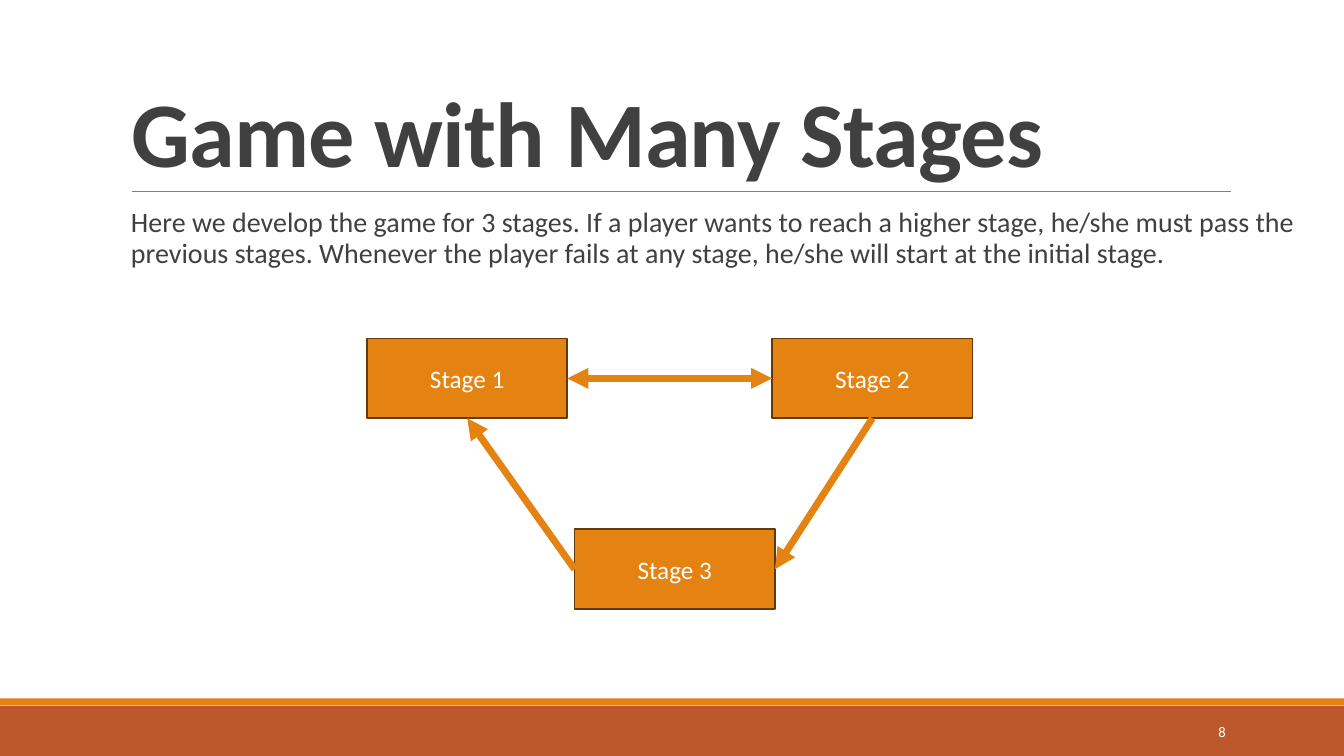
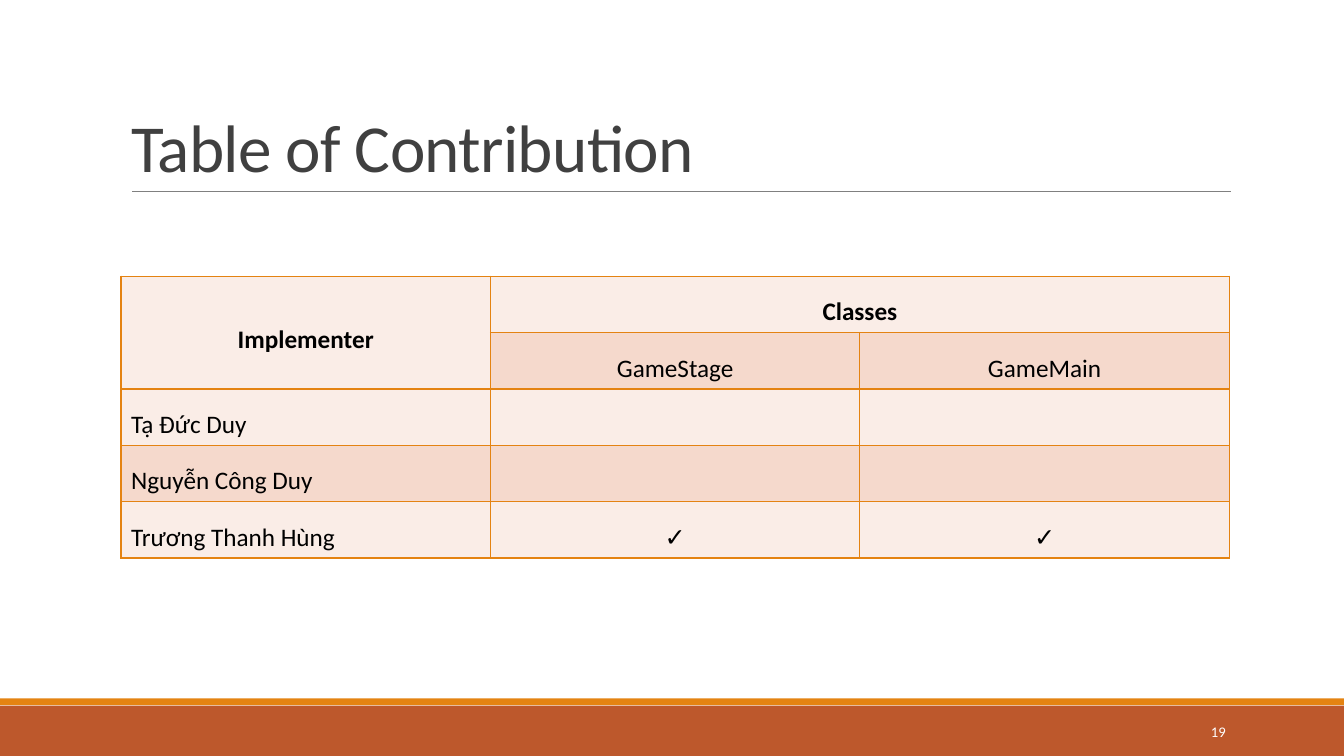
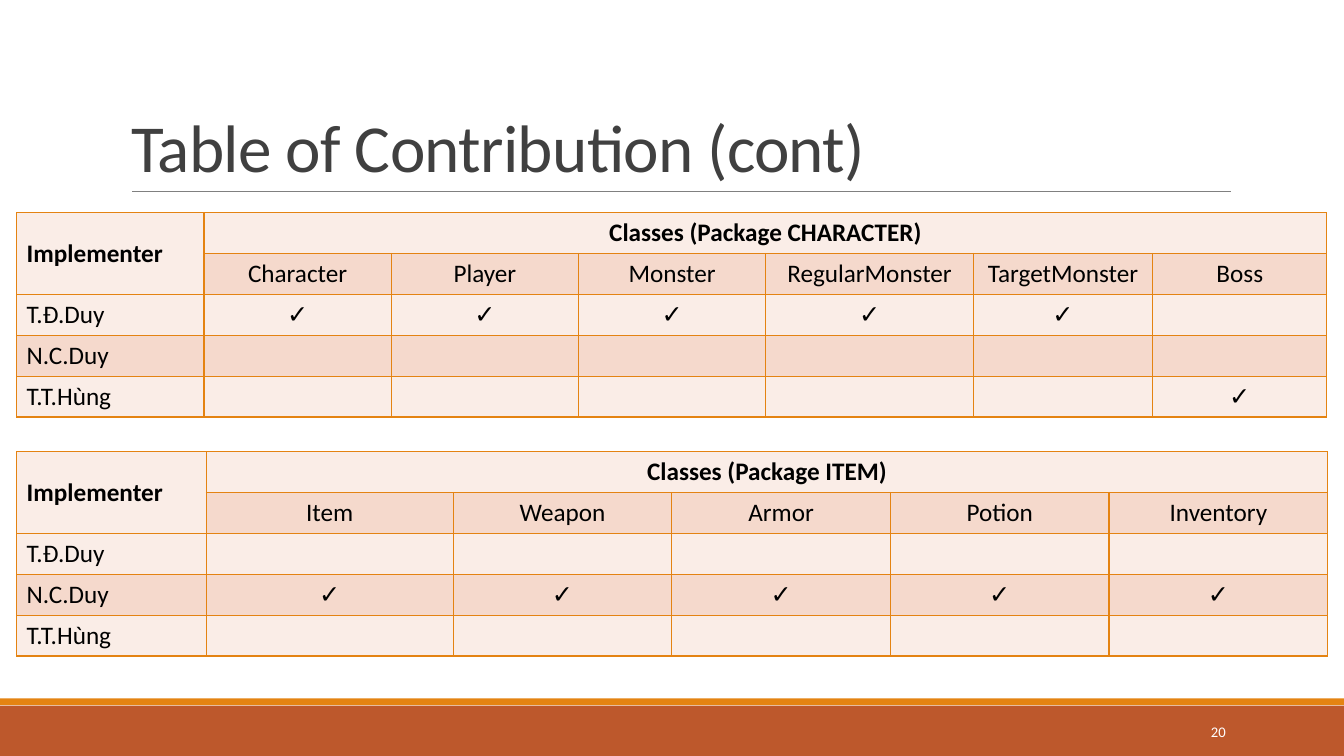
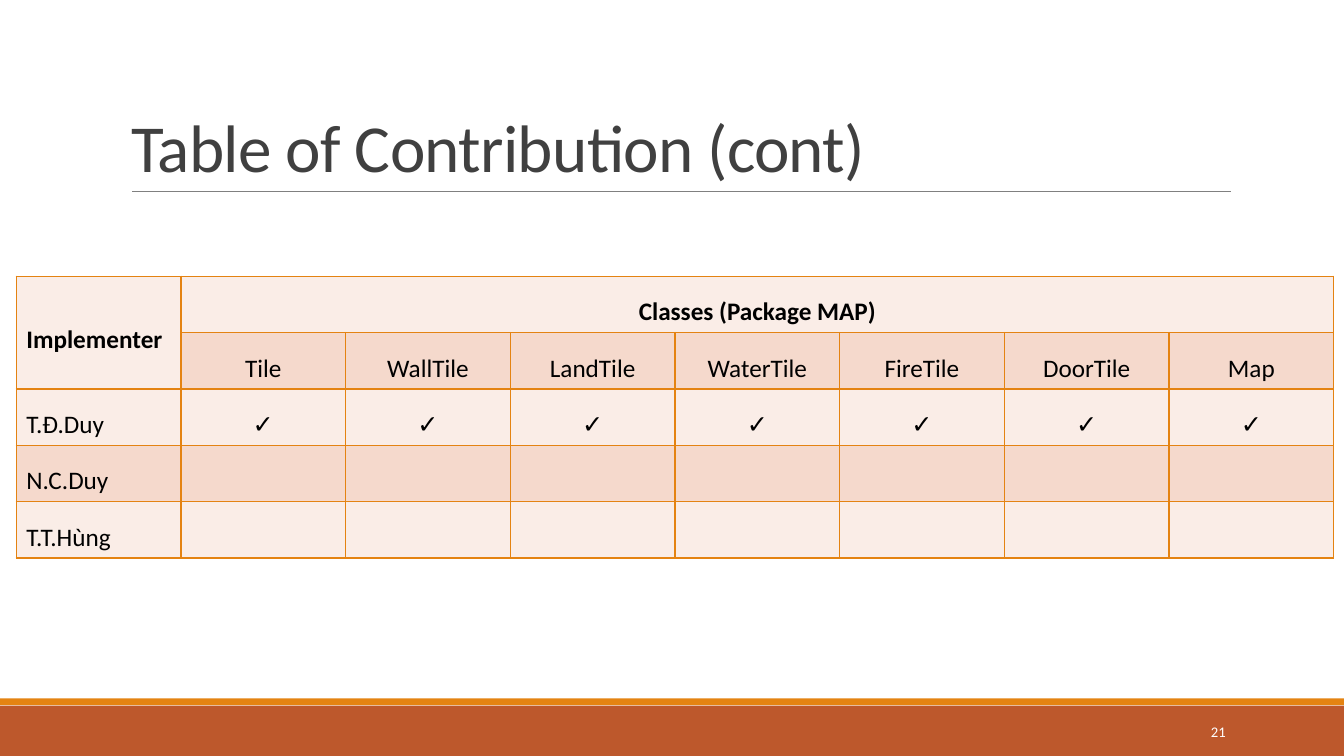
import dataclasses

import lxml.etree
import pptx
import pptx.dml.color
import pptx.enum.shapes
import pptx.enum.text
import pptx.oxml.ns
import pptx.util

Cm = pptx.util.Cm
Pt = pptx.util.Pt
qn = pptx.oxml.ns.qn
RGB = pptx.dml.color.RGBColor.from_string
ALIGN = pptx.enum.text.PP_ALIGN
ANCHOR = pptx.enum.text.MSO_ANCHOR
RECTANGLE = pptx.enum.shapes.MSO_SHAPE.RECTANGLE
STRAIGHT = pptx.enum.shapes.MSO_CONNECTOR.STRAIGHT


@dataclasses.dataclass(frozen=True)
class Theme:
    font: str = "Calibri"
    orange: str = "E48312"
    rust: str = "BD582C"
    box_border: str = "643908"
    rule: str = "808080"
    text: str = "404040"
    white: str = "FFFFFF"
    black: str = "000000"
    row_fills: tuple = ("FAEDE7", "F5D9CC")
    big_title_size: float = 66
    title_size: float = 48
    body_size: float = 20
    label_size: float = 18
    number_size: float = 10.5


theme = Theme()


def write_text(text_frame, text, size, color, alignment=ALIGN.LEFT, bold=False):
    paragraph = text_frame.paragraphs[0]
    paragraph.add_run().text = text
    paragraph.alignment = alignment
    paragraph.font.name = theme.font
    paragraph.font.size = Pt(size)
    paragraph.font.bold = bold
    paragraph.font.color.rgb = RGB(color)
    return paragraph


def style_line(connector, color, width, arrow_ends=()):
    """Colour a connector, drop its shadow and add triangles at the named ends."""
    connector.line.color.rgb = RGB(color)
    connector.line.width = Pt(width)
    properties = connector.element.spPr
    for end in arrow_ends:
        lxml.etree.SubElement(properties.find(qn("a:ln")), qn(f"a:{end}"), type="triangle")
    lxml.etree.SubElement(properties, qn("a:effectLst"))


presentation = pptx.Presentation()
presentation.slide_width = Cm(33.87)
presentation.slide_height = Cm(19.05)
content_layout = presentation.slide_layouts[1]
title_only_layout = presentation.slide_layouts[5]

# Titles and page numbers
pages = [
    ("Game with Many Stages", 8, content_layout, theme.big_title_size, True),
    ("Table of Contribution", 19, title_only_layout, theme.title_size, False),
    ("Table of Contribution (cont)", 20, title_only_layout, theme.title_size, False),
    ("Table of Contribution (cont)", 21, title_only_layout, theme.title_size, False),
]
slides = []
for title_text, page_number, layout, title_size, bold in pages:
    slide = presentation.slides.add_slide(layout)
    slides.append(slide)

    title = slide.shapes.title
    title.left, title.top, title.width, title.height = Cm(3.05), Cm(0.79), Cm(27.94), Cm(4.04)
    title.text_frame.auto_size = pptx.enum.text.MSO_AUTO_SIZE.NONE
    title.text_frame.vertical_anchor = ANCHOR.BOTTOM
    paragraph = write_text(title.text_frame, title_text, title_size, theme.text, bold=bold)
    paragraph.line_spacing = 0.85
    paragraph.runs[0].font._element.set("spc", "-50")

    number = slide.shapes.add_textbox(Cm(27.51), Cm(17.93), Cm(3.63), Cm(1.02))
    number.text_frame.word_wrap = True
    number.text_frame.vertical_anchor = ANCHOR.MIDDLE
    write_text(number.text_frame, str(page_number), theme.number_size, theme.white, ALIGN.RIGHT)

stages_slide, main_slide, packages_slide, map_slide = slides

# Bands and title rule, moved to the master so that every slide shows them
master_parts = []
for top, height, color in [(17.78, 1.27, theme.rust), (17.6, 0.17, theme.orange)]:
    band = stages_slide.shapes.add_shape(RECTANGLE, 0, Cm(top), presentation.slide_width, Cm(height))
    band.shadow.inherit = False
    band.fill.solid()
    band.fill.fore_color.rgb = RGB(color)
    band.line.fill.background()
    master_parts.append(band)
title_rule = stages_slide.shapes.add_connector(STRAIGHT, Cm(3.33), Cm(4.83), Cm(31.01), Cm(4.83))
style_line(title_rule, theme.rule, 0.5)
master_parts.append(title_rule)
for position, part in enumerate(master_parts):
    part.element.xpath(".//p:cNvPr")[0].set("id", str(100 + position))
    presentation.slide_master.shapes.element.insert(2 + position, part.element)

# Stages: introduction
body = stages_slide.placeholders[1]
body.left, body.top, body.width, body.height = Cm(3.05), Cm(5.13), Cm(30.12), Cm(11.18)
body.text_frame.auto_size = pptx.enum.text.MSO_AUTO_SIZE.NONE
body.text_frame.margin_left = body.text_frame.margin_right = 0
paragraph = write_text(
    body.text_frame,
    "Here we develop the game for 3 stages. If a player wants to reach a higher stage, "
    "he/she must pass the previous stages. Whenever the player fails at any stage, "
    "he/she will start at the initial stage.",
    theme.body_size,
    theme.text,
)
paragraph.line_spacing = 0.9
paragraph.space_before = Pt(12)
paragraph.space_after = Pt(2)
paragraph_properties = paragraph._p.get_or_add_pPr()
paragraph_properties.set("marL", str(Cm(0.25)))
paragraph_properties.set("indent", "0")
lxml.etree.SubElement(paragraph_properties, qn("a:buNone"))
# Default run properties must follow the bullet
default_properties = paragraph_properties.find(qn("a:defRPr"))
if default_properties is not None:
    paragraph_properties.append(default_properties)

# Stages: diagram
stage_boxes = []
for stage, (left, top) in enumerate([(9.25, 8.53), (19.46, 8.53), (14.48, 13.34)], start=1):
    box = stages_slide.shapes.add_shape(RECTANGLE, Cm(left), Cm(top), Cm(5.05), Cm(2.01))
    box.shadow.inherit = False
    box.fill.solid()
    box.fill.fore_color.rgb = RGB(theme.orange)
    box.line.color.rgb = RGB(theme.box_border)
    box.line.width = Pt(1.25)
    box.text_frame.vertical_anchor = ANCHOR.MIDDLE
    write_text(box.text_frame, f"Stage {stage}", theme.label_size, theme.white, ALIGN.CENTER)
    stage_boxes.append(box)

first, second, third = stage_boxes
LEFT_SITE, BOTTOM_SITE, RIGHT_SITE = 1, 2, 3
arrows = [
    (first, RIGHT_SITE, second, LEFT_SITE, ("headEnd", "tailEnd")),
    (second, BOTTOM_SITE, third, RIGHT_SITE, ("tailEnd",)),
    (third, LEFT_SITE, first, BOTTOM_SITE, ("tailEnd",)),
]
for source, source_site, target, target_site, arrow_ends in arrows:
    arrow = stages_slide.shapes.add_connector(STRAIGHT, 0, 0, 0, 0)
    arrow.begin_connect(source, source_site)
    arrow.end_connect(target, target_site)
    style_line(arrow, theme.orange, 5, arrow_ends)


@dataclasses.dataclass
class Contribution:
    """A table of classes; work maps each implementer to the classes done."""
    slide: object
    left: float
    top: float
    row_height: float
    line_spacing: float
    heading: str
    columns: list
    classes: list
    work: dict
    corner_alignment: object = ALIGN.LEFT


main_classes = ["GameStage", "GameMain"]
character_classes = ["Character", "Player", "Monster", "RegularMonster", "TargetMonster", "Boss"]
item_classes = ["Item", "Weapon", "Armor", "Potion", "Inventory"]
map_classes = ["Tile", "WallTile", "LandTile", "WaterTile", "FireTile", "DoorTile", "Map"]

contributions = [
    Contribution(
        main_slide, 3.05, 6.96, 1.42, 1.5, "Classes", [9.31] * 3, main_classes,
        {"Tạ Đức Duy": [], "Nguyễn Công Duy": [], "Trương Thanh Hùng": main_classes},
        ALIGN.CENTER,
    ),
    Contribution(
        packages_slide, 0.42, 5.36, 1.03, 1.0, "Classes (Package CHARACTER)",
        [4.72] * 4 + [5.23, 4.52, 4.39], character_classes,
        {"T.Đ.Duy": character_classes[:-1], "N.C.Duy": [], "T.T.Hùng": ["Boss"]},
    ),
    Contribution(
        packages_slide, 0.42, 11.38, 1.03, 1.0, "Classes (Package ITEM)",
        [4.78, 6.22] + [5.51] * 4, item_classes,
        {"T.Đ.Duy": [], "N.C.Duy": item_classes, "T.T.Hùng": []},
    ),
    Contribution(
        map_slide, 0.41, 6.96, 1.42, 1.5, "Classes (Package MAP)", [4.15] * 8, map_classes,
        {"T.Đ.Duy": map_classes, "N.C.Duy": [], "T.T.Hùng": []},
    ),
]
for contribution in contributions:
    classes = contribution.classes
    rows = [
        ["Implementer", contribution.heading] + [""] * (len(classes) - 1),
        [""] + classes,
    ]
    for implementer, done in contribution.work.items():
        rows.append([implementer] + ["✓" if name in done else "" for name in classes])

    frame = contribution.slide.shapes.add_table(
        len(rows), len(rows[0]), Cm(contribution.left), Cm(contribution.top),
        Cm(sum(contribution.columns)), Cm(contribution.row_height * len(rows)),
    )
    table = frame.table
    table.first_row = table.horz_banding = False
    for column, width in zip(table.columns, contribution.columns):
        column.width = Cm(width)

    for row_index, texts in enumerate(rows):
        table.rows[row_index].height = Cm(contribution.row_height)
        for column_index, text in enumerate(texts):
            cell = table.cell(row_index, column_index)
            cell.vertical_anchor = ANCHOR.MIDDLE
            cell_properties = cell._tc.get_or_add_tcPr()
            for side in ("lnL", "lnR", "lnT", "lnB"):
                border = lxml.etree.SubElement(cell_properties, qn(f"a:{side}"), w=str(Pt(1)))
                border_fill = lxml.etree.SubElement(border, qn("a:solidFill"))
                lxml.etree.SubElement(border_fill, qn("a:srgbClr"), val=theme.orange)
            cell.fill.solid()
            cell.fill.fore_color.rgb = RGB(theme.row_fills[row_index % 2])
            if not text:
                continue
            alignment = ALIGN.CENTER if column_index else ALIGN.LEFT
            if row_index == column_index == 0:
                alignment = contribution.corner_alignment
            paragraph = write_text(
                cell.text_frame, text, theme.label_size, theme.black, alignment, bold=row_index == 0
            )
            paragraph.line_spacing = contribution.line_spacing

    table.cell(0, 0).merge(table.cell(1, 0))
    table.cell(0, 1).merge(table.cell(0, len(classes)))

presentation.save("out.pptx")
